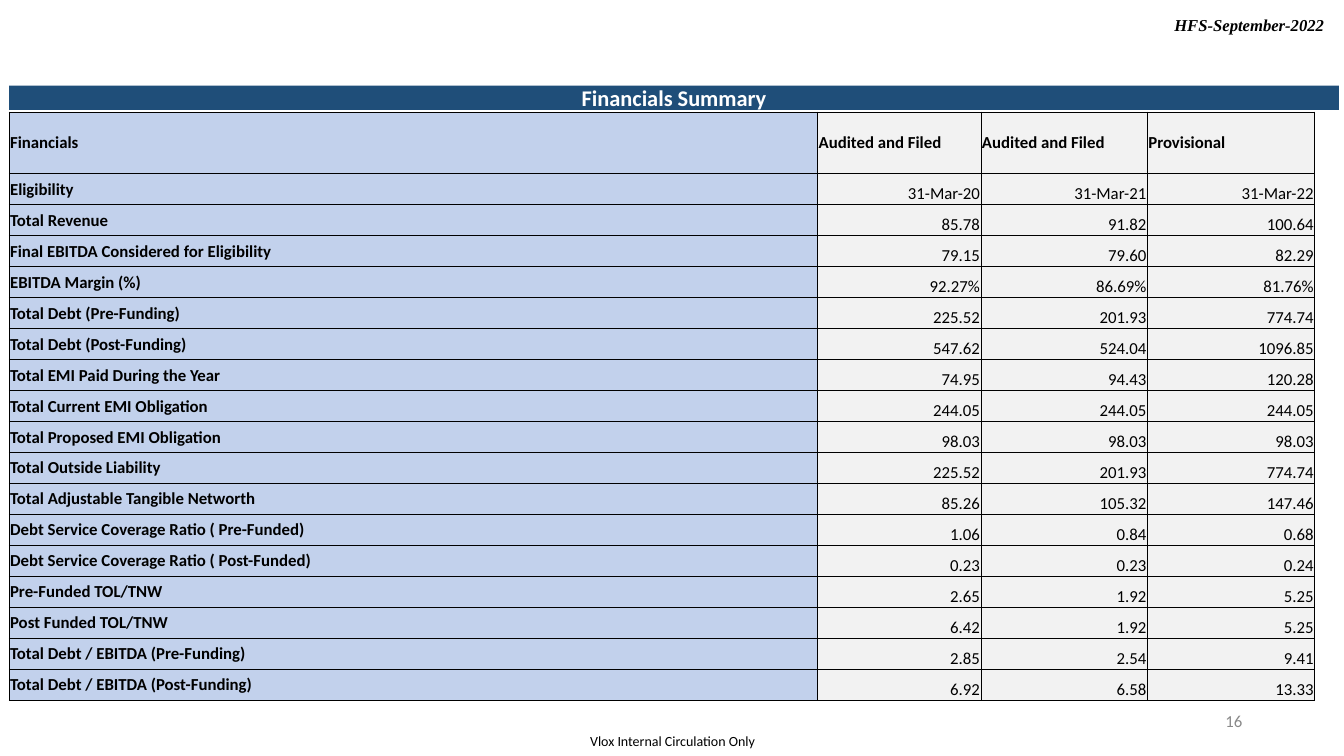
from lxml.etree import SubElement
from pptx import Presentation
from pptx.dml.color import RGBColor
from pptx.enum.shapes import MSO_SHAPE
from pptx.enum.text import MSO_ANCHOR as Anchor, PP_ALIGN as Align
from pptx.oxml.ns import qn
from pptx.util import Inches, Pt

BLACK = RGBColor(0x00, 0x00, 0x00)
WHITE = RGBColor(0xFF, 0xFF, 0xFF)
GREY = RGBColor(0x89, 0x89, 0x89)
NAVY = RGBColor(0x1F, 0x4E, 0x79)
LABEL_BLUE = RGBColor(0xC2, 0xD1, 0xEC)
VALUE_GREY = RGBColor(0xF2, 0xF2, 0xF2)

HEADINGS = ("Financials", "Audited and Filed", "Audited and Filed", "Provisional")
FIGURES = [
    ("Eligibility", "31-Mar-20", "31-Mar-21", "31-Mar-22"),
    ("Total Revenue", "85.78", "91.82", "100.64"),
    ("Final EBITDA Considered for Eligibility", "79.15", "79.60", "82.29"),
    ("EBITDA Margin (%)", "92.27%", "86.69%", "81.76%"),
    ("Total Debt (Pre-Funding)", "225.52", "201.93", "774.74"),
    ("Total Debt (Post-Funding)", "547.62", "524.04", "1096.85"),
    ("Total EMI Paid During the Year", "74.95", "94.43", "120.28"),
    ("Total Current EMI Obligation", "244.05", "244.05", "244.05"),
    ("Total Proposed EMI Obligation", "98.03", "98.03", "98.03"),
    ("Total Outside Liability", "225.52", "201.93", "774.74"),
    ("Total Adjustable Tangible Networth", "85.26", "105.32", "147.46"),
    ("Debt Service Coverage Ratio ( Pre-Funded)", "1.06", "0.84", "0.68"),
    ("Debt Service Coverage Ratio ( Post-Funded)", "0.23", "0.23", "0.24"),
    ("Pre-Funded TOL/TNW", "2.65", "1.92", "5.25"),
    ("Post Funded TOL/TNW", "6.42", "1.92", "5.25"),
    ("Total Debt / EBITDA (Pre-Funding)", "2.85", "2.54", "9.41"),
    ("Total Debt / EBITDA (Post-Funding)", "6.92", "6.58", "13.33"),
]
COLUMN_WIDTHS = (8.02, 1.62, 1.65, 1.66)
TABLE_HEIGHT = 5.84
HEADER_HEIGHT = 0.61


def write(text_frame, text, size, color, align, bold=False, font_name="Calibri"):
    text_frame.word_wrap = True
    text_frame.text = text
    paragraph = text_frame.paragraphs[0]
    paragraph.alignment = align
    font = paragraph.runs[0].font
    font.name, font.size, font.bold = font_name, Pt(size), bold
    font.color.rgb = color
    return paragraph


def add_borders(cell):
    properties = cell._tc.get_or_add_tcPr()
    for position, side in enumerate(("lnL", "lnR", "lnT", "lnB")):
        line = SubElement(properties, qn(f"a:{side}"), w=str(Pt(0.5)))
        fill = SubElement(line, qn("a:solidFill"))
        SubElement(fill, qn("a:srgbClr"), val=str(BLACK))
        properties.insert(position, line)


presentation = Presentation()
presentation.slide_width = Inches(13.33)
presentation.slide_height = Inches(7.5)
slide = presentation.slides.add_slide(presentation.slide_layouts[6])

# Footer note
footer = slide.shapes.add_textbox(Inches(5.7), Inches(7.21), Inches(1.94), Inches(0.29))
footer_frame = footer.text_frame
footer_frame.margin_left = footer_frame.margin_right = 0
footer_frame.margin_top = footer_frame.margin_bottom = 0
footer_frame.vertical_anchor = Anchor.MIDDLE
write(footer_frame, "Vlox Internal Circulation Only", 10, BLACK, Align.CENTER)

# Page number
page_number = slide.shapes.add_textbox(Inches(9.42), Inches(6.95), Inches(3), Inches(0.4))
page_number.text_frame.vertical_anchor = Anchor.MIDDLE
write(page_number.text_frame, "16", 12, GREY, Align.RIGHT)

# Title bar
title_bar = slide.shapes.add_shape(
    MSO_SHAPE.RECTANGLE, Inches(0.09), Inches(0.85), Inches(13.19), Inches(0.24))
title_bar.shadow.inherit = False
title_bar.fill.solid()
title_bar.fill.fore_color.rgb = NAVY
title_bar.line.fill.background()
title_bar.text_frame.vertical_anchor = Anchor.MIDDLE
write(title_bar.text_frame, "Financials Summary", 16, WHITE, Align.CENTER, bold=True)

# Financials table
rows = [HEADINGS] + FIGURES
table = slide.shapes.add_table(
    len(rows), len(HEADINGS), Inches(0.09), Inches(1.11),
    Inches(sum(COLUMN_WIDTHS)), Inches(TABLE_HEIGHT)).table
for column, width in zip(table.columns, COLUMN_WIDTHS):
    column.width = Inches(width)
for row in table.rows:
    row.height = Inches((TABLE_HEIGHT - HEADER_HEIGHT) / len(FIGURES))
table.rows[0].height = Inches(HEADER_HEIGHT)

for row_index, values in enumerate(rows):
    for column_index, value in enumerate(values):
        cell = table.cell(row_index, column_index)
        is_heading = row_index == 0 or column_index == 0
        cell.margin_left = cell.margin_right = cell.margin_top = Inches(0.01)
        cell.margin_bottom = 0
        cell.vertical_anchor = Anchor.MIDDLE if is_heading else Anchor.BOTTOM
        cell.fill.solid()
        cell.fill.fore_color.rgb = VALUE_GREY if column_index else LABEL_BLUE
        align = Align.LEFT if is_heading else Align.RIGHT
        write(cell.text_frame, value, 12, BLACK, align, bold=is_heading)
        add_borders(cell)

# Report date
report_date = slide.shapes.add_textbox(Inches(11.51), Inches(0.12), Inches(1.72), Inches(0.27))
date_paragraph = write(report_date.text_frame, "HFS-September-2022", 11.9, BLACK,
                       Align.RIGHT, bold=True, font_name="Times New Roman")
date_paragraph.line_spacing = 0.9
date_paragraph.runs[0].font.italic = True

presentation.save("out.pptx")
